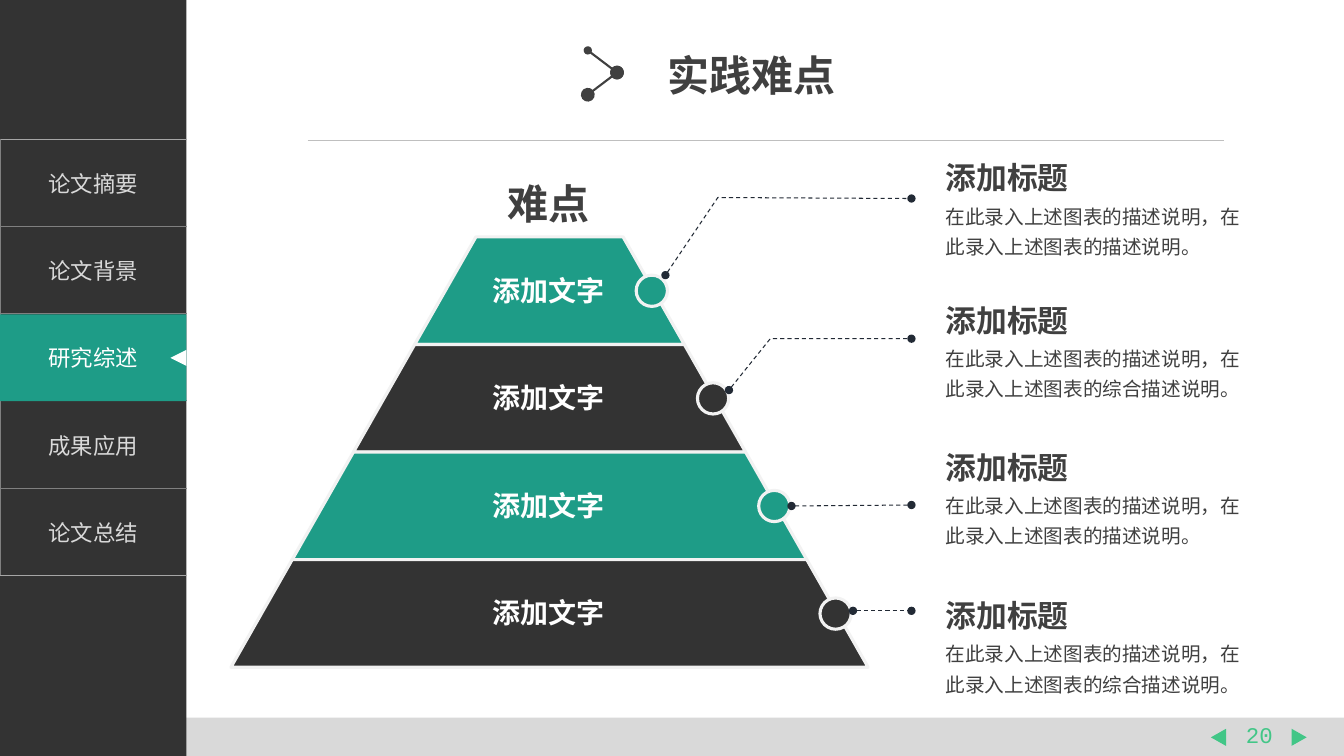
"""Builds the practice difficulties slide with a four-level pyramid."""
from lxml import etree
from pptx import Presentation
from pptx.dml.color import RGBColor
from pptx.enum.dml import MSO_LINE
from pptx.enum.shapes import MSO_CONNECTOR, MSO_SHAPE
from pptx.enum.text import MSO_ANCHOR, MSO_AUTO_SIZE, PP_ALIGN
from pptx.oxml.ns import qn
from pptx.util import Inches, Pt

RECT, OVAL, TRIANGLE = MSO_SHAPE.RECTANGLE, MSO_SHAPE.OVAL, MSO_SHAPE.ISOSCELES_TRIANGLE
STRAIGHT, DASH = MSO_CONNECTOR.STRAIGHT, MSO_LINE.DASH
LEFT, CENTER = PP_ALIGN.LEFT, PP_ALIGN.CENTER
MIDDLE, GROW = MSO_ANCHOR.MIDDLE, MSO_AUTO_SIZE.SHAPE_TO_FIT_TEXT
CJK = "Noto Sans CJK SC"
TEAL, DARK, INK, WHITE, PALE = "1E9C87", "333333", "404040", "FFFFFF", "F2F2F2"
GREEN, NAVY, GREY, SILVER = "42C687", "222A35", "808080", "D9D9D9"

CHAPTERS = ["论文摘要", "论文背景", "研究综述", "成果应用", "论文总结"]
NOTES = [
    (1.53, "在此录入上述图表的描述说明，在此录入上述图表的描述说明。"),
    (2.94, "在此录入上述图表的描述说明，在此录入上述图表的综合描述说明。"),
    (4.4, "在此录入上述图表的描述说明，在此录入上述图表的描述说明。"),
    (5.87, "在此录入上述图表的描述说明，在此录入上述图表的综合描述说明。"),
]
BENT_LEADERS = [
    [(6.6, 2.73), (7.12, 1.96), (9.04, 1.97)],
    [(7.23, 3.87), (7.64, 3.36), (9.04, 3.36)],
]
STRAIGHT_LEADERS = [((7.85, 5.02), (9.04, 5.01)), ((8.46, 6.06), (9.04, 6.06))]
LEVELS, PYRAMID_TOP, PYRAMID_HEIGHT = 4, 2.35, 4.27
PYRAMID_CENTER, TOP_HALF, BASE_HALF = 5.45, 0.73, 3.16


def rgb(color):
    """Turn a hex string into a colour."""
    return RGBColor.from_string(color)


def add_run(p, text, size, color, font=CJK, bold=False):
    """Add one formatted run to a paragraph."""
    r = p.add_run()
    r.text = text
    r.font.size, r.font.bold, r.font.name = Pt(size), bold, font
    r.font.color.rgb = rgb(color)
    etree.SubElement(r._r.get_or_add_rPr(), qn("a:ea"), typeface=CJK)


def add_text(s, box, text, size, color, font=CJK, bold=False, align=LEFT,
             wrap=True, inset=(0.1, 0.05), spacing=None):
    """Add a text box that grows with its text."""
    tf = s.shapes.add_textbox(*map(Inches, box)).text_frame
    tf.word_wrap, tf.auto_size = wrap, GROW
    tf.margin_left = tf.margin_right = Inches(inset[0])
    tf.margin_top = tf.margin_bottom = Inches(inset[1])
    p = tf.paragraphs[0]
    p.alignment = align
    if spacing:
        p.line_spacing = spacing
    add_run(p, text, size, color, font, bold)


def style_shape(sp, fill, line=None):
    """Give a shape a flat fill and an optional outline."""
    sp.shadow.inherit = False
    sp.fill.solid()
    sp.fill.fore_color.rgb = rgb(fill)
    if line:
        sp.line.color.rgb, sp.line.width = rgb(line), Pt(2.25)
    else:
        sp.line.fill.background()


def add_preset(s, kind, box, fill, line=None, rotation=0):
    """Add a preset shape."""
    sp = s.shapes.add_shape(kind, *map(Inches, box))
    style_shape(sp, fill, line)
    sp.rotation = rotation
    return sp


def build_outline(s, points, close):
    """Add a freeform through points given in inches."""
    points = [(Inches(x), Inches(y)) for x, y in points]
    builder = s.shapes.build_freeform(*points[0])
    builder.add_line_segments(points[1:], close=close)
    sp = builder.convert_to_shape()
    sp.shadow.inherit = False
    return sp


def style_line(sp, color, width, ends=None, dash=None):
    """Set the stroke of a line and its oval ends."""
    sp.line.color.rgb, sp.line.width = rgb(color), Pt(width)
    if dash:
        sp.line.dash_style = dash
    for tag, size in zip(("a:headEnd", "a:tailEnd"), ends or ()):
        etree.SubElement(sp.line._get_or_add_ln(), qn(tag), type="oval", w=size, len=size)


def add_line(s, start, end, color, width, ends=None, dash=None):
    """Add a straight connector."""
    sp = s.shapes.add_connector(STRAIGHT, *map(Inches, start + end))
    style_line(sp, color, width, ends, dash)
    etree.SubElement(sp._element.spPr, qn("a:effectLst"))


def add_border(cell, side, color=None):
    """Draw or clear one border of a table cell."""
    ln = etree.SubElement(cell._tc.get_or_add_tcPr(), qn(f"a:ln{side}"), w=str(Pt(1)))
    if color:
        fill = etree.SubElement(ln, qn("a:solidFill"))
        etree.SubElement(fill, qn("a:srgbClr"), val=color)
    else:
        etree.SubElement(ln, qn("a:noFill"))


def add_chapter_table(s):
    """Add the chapter list of the sidebar."""
    count = len(CHAPTERS)
    frame = s.shapes.add_table(count, 1, *map(Inches, (0, 1.38, 1.85, 4.33)))
    table = frame.table
    table.first_row = table.horz_banding = False
    for i, chapter in enumerate(CHAPTERS):
        cell = table.cell(i, 0)
        cell.vertical_anchor = MIDDLE
        add_border(cell, "L", GREY)
        add_border(cell, "R")
        add_border(cell, "T", GREY if i else "A6A6A6")
        add_border(cell, "B", GREY if i < count - 1 else "A6A6A6")
        cell.fill.background()
        p = cell.text_frame.paragraphs[0]
        p.alignment = CENTER
        add_run(p, chapter, 16, SILVER)


def add_frame(s):
    """Add the footer, page number, sidebar and header rule."""
    add_preset(s, RECT, (0, 7.12, 13.33, 0.38), SILVER)
    add_text(s, (12.25, 7.11, 0.48, 0.37), "20", 16, GREEN, "Courier New",
             align=CENTER, wrap=False)
    add_preset(s, RECT, (0, 0, 1.85, 7.5), DARK)
    add_chapter_table(s)
    for x, rotation in ((12.8, 90), (12, 270)):
        add_preset(s, TRIANGLE, (x, 7.24, 0.17, 0.15), GREEN, rotation=rotation)
    add_line(s, (3.05, 1.39), (12.14, 1.39), "BFBFBF", 0.5)
    tf = add_preset(s, RECT, (0, 3.12, 1.85, 0.86), TEAL).text_frame
    tf.vertical_anchor = MIDDLE
    p = tf.paragraphs[0]
    p.alignment = CENTER
    add_run(p, CHAPTERS[2], 16, WHITE)
    add_preset(s, TRIANGLE, (1.69, 3.47, 0.16, 0.16), WHITE, rotation=270)


def add_pyramid(s):
    """Add the pyramid levels, their labels and the edge circles."""
    step = PYRAMID_HEIGHT / LEVELS
    slope = (BASE_HALF - TOP_HALF) / LEVELS
    colors = [(TEAL, DARK)[i % 2] for i in range(LEVELS)]
    for i, color in enumerate(colors):
        top, half = PYRAMID_TOP + i * step, TOP_HALF + i * slope
        corners = [(PYRAMID_CENTER - half, top),
                   (PYRAMID_CENTER - half - slope, top + step),
                   (PYRAMID_CENTER + half + slope, top + step),
                   (PYRAMID_CENTER + half, top)]
        style_shape(build_outline(s, corners, True), color, PALE)
        add_text(s, (3.88, top + 0.33, 3.13, 0.4), "添加文字", 20, WHITE,
                 bold=True, align=CENTER, inset=(0.07, 0.03))
    for i, color in enumerate(colors):
        add_preset(s, OVAL, (6.31 + i * slope, 2.73 + i * step, 0.31, 0.31), color, PALE)


def add_notes_column(s):
    """Add the dashed leaders and the notes they point to."""
    ends = ("med", "med")
    for points in BENT_LEADERS:
        sp = build_outline(s, points, False)
        sp.fill.background()
        style_line(sp, NAVY, 0.75, ends, DASH)
    for start, end in STRAIGHT_LEADERS:
        add_line(s, start, end, NAVY, 0.75, ends, DASH)
    for top, note in NOTES:
        add_text(s, (9.28, top, 1.44, 0.47), "添加标题", 22, INK, bold=True, wrap=False)
        add_text(s, (9.28, top + 0.38, 3.26, 0.68), note, 14, INK, spacing=1.3)


def add_titles(s):
    """Add the pyramid heading, slide title and its icon."""
    add_text(s, (4.94, 1.72, 1.03, 0.59), "难点", 29.3, INK, "Arial", True, wrap=False)
    add_text(s, (6.52, 0.44, 1.88, 0.61), "实践难点", 30, INK, "Arial", True, wrap=False)
    add_line(s, (5.83, 0.5), (6.12, 0.72), INK, 1.5, ("med", "lg"))
    add_line(s, (6.12, 0.72), (5.83, 0.94), INK, 1.5, ("lg", "lg"))


def main():
    """Build and save the slide."""
    prs = Presentation()
    prs.slide_width, prs.slide_height = Inches(13.33), Inches(7.5)
    s = prs.slides.add_slide(prs.slide_layouts[6])
    add_frame(s)
    add_pyramid(s)
    add_notes_column(s)
    add_titles(s)
    prs.save("out.pptx")


if __name__ == "__main__":
    main()
